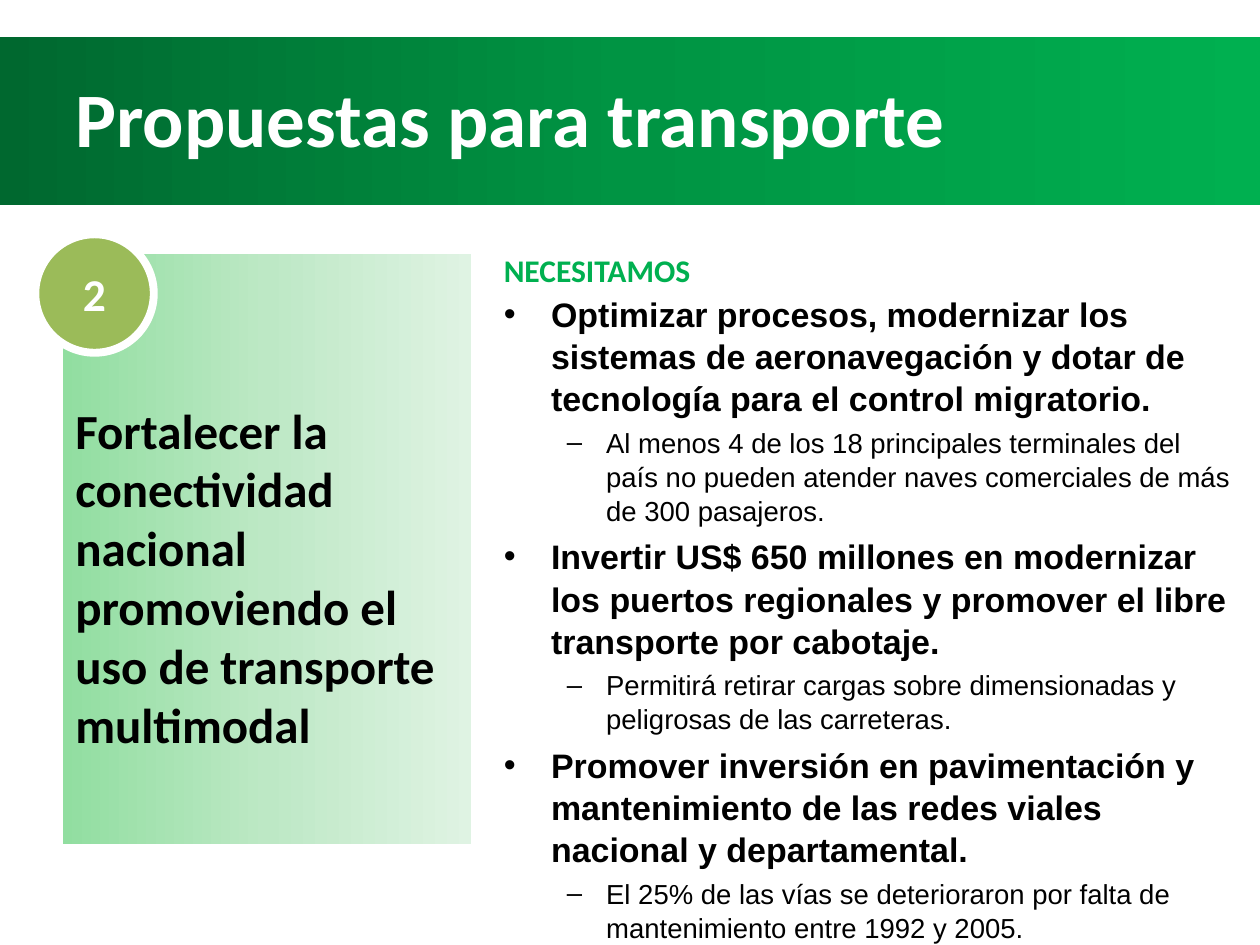
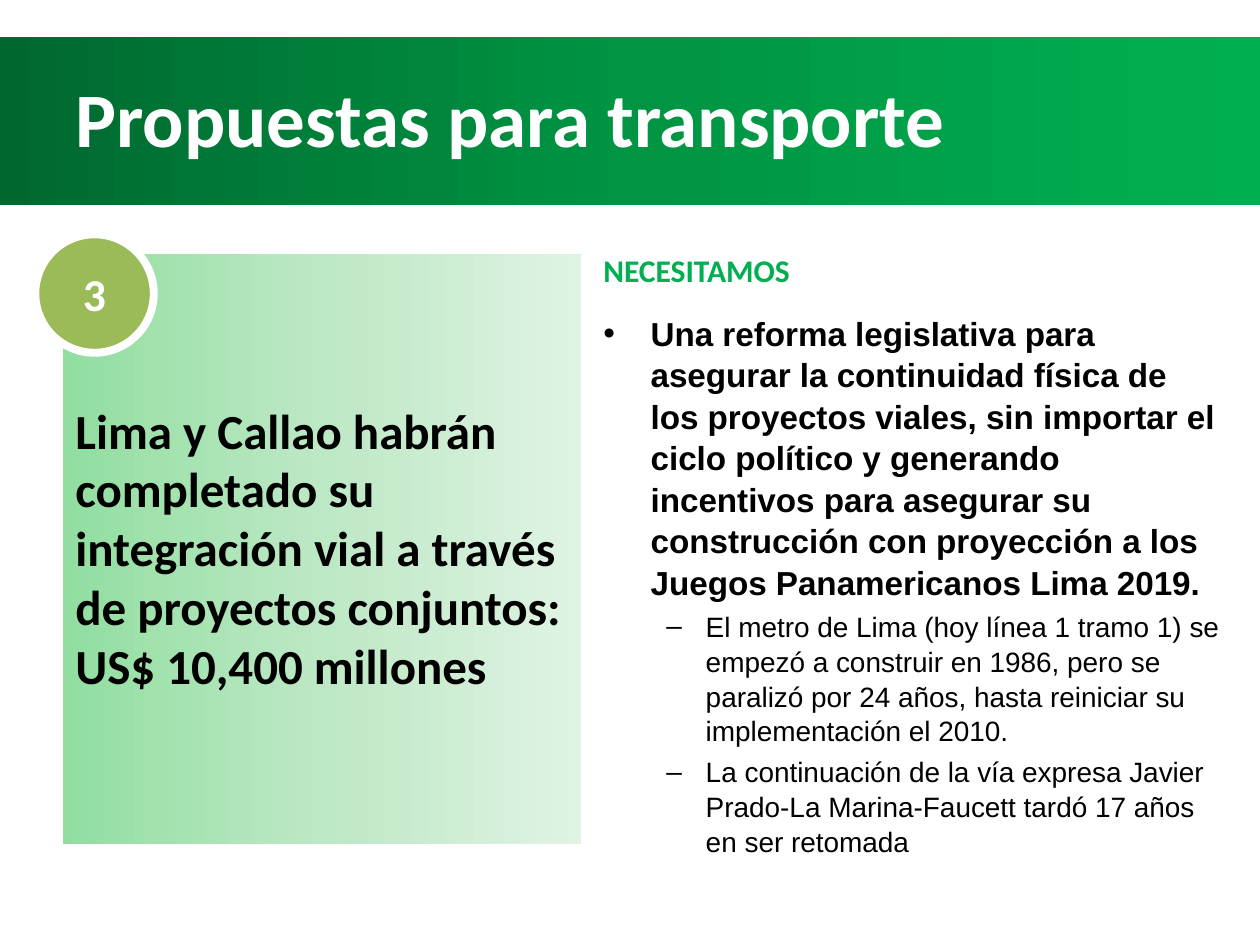
from copy import deepcopy

from lxml import etree
from pptx import Presentation
from pptx.dml.color import RGBColor
from pptx.enum import shapes, text
from pptx.oxml import ns
from pptx.util import Pt

HUES = {
    "white": "FFFFFF", "black": "000000", "green": "00B050", "olive": "9BBB59",
    "band": ("00682F", "009443", "00B050"),
    "panel": ("91DEA0", "BDE8C5", "DFF3E3"),
}
FONTS = {
    "title": dict(name="Calibri", size=44, bold=True, hue="white"),
    "claim": dict(name="Calibri", size=28, bold=True, hue="black"),
    "badge": dict(name="Calibri", size=26, bold=True, hue="white"),
    "head": dict(name="Calibri", size=18, bold=True, hue="green"),
    "main": dict(name="Arial", bold=True, hue="black"),
    "sub": dict(name="Arial", bold=False, hue="black"),
}
# Bullet mark, left margin and hanging indent for each level
LEVELS = {"main": ("•", 27, -27), "sub": ("–", 58.5, -22.5)}
TITLE = "Propuestas para transporte"
LEFT, TOP, TALL = 36, 145.4, 337

PAGES = [
    dict(
        num="2", wide=233.3, sizes=dict(main=19.4, sub=15.7),
        claim="Fortalecer la conectividad nacional promoviendo el uso de "
              "transporte multimodal",
        body=(280.8, 162, 430.6, 339.8),
        needs=[
            ("main", "Optimizar procesos, modernizar los sistemas de "
                     "aeronavegación y dotar de tecnología para el control "
                     "migratorio."),
            ("sub", "Al menos 4 de los 18 principales terminales del país no "
                    "pueden atender naves comerciales de más de 300 "
                    "pasajeros."),
            ("main", "Invertir US$ 650 millones en modernizar los puertos "
                     "regionales y promover el libre transporte por "
                     "cabotaje."),
            ("sub", "Permitirá retirar cargas sobre dimensionadas y "
                    "peligrosas de las carreteras."),
            ("main", "Promover inversión en pavimentación y mantenimiento de "
                     "las redes viales nacional y departamental."),
            ("sub", "El 25% de las vías se deterioraron por falta de "
                    "mantenimiento entre 1992 y 2005."),
        ],
    ),
    dict(
        num="3", wide=295.9, sizes=dict(main=19, sub=16),
        claim="Lima y Callao habrán completado su integración vial a través "
              "de proyectos conjuntos: US$ 10,400 millones",
        body=(337.7, 173.5, 368.6, 300.2),
        needs=[
            ("main", "Una reforma legislativa para asegurar la continuidad "
                     "física de los proyectos viales, sin importar el ciclo "
                     "político y generando incentivos para asegurar su "
                     "construcción con proyección a los Juegos Panamericanos "
                     "Lima 2019."),
            ("sub", "El metro de Lima (hoy línea 1 tramo 1) se empezó a "
                    "construir en 1986, pero se paralizó por 24 años, hasta "
                    "reiniciar su implementación el 2010."),
            ("sub", "La continuación de la vía expresa Javier Prado-La "
                    "Marina-Faucett tardó 17 años en ser retomada"),
        ],
    ),
]


def tint(hue):
    return RGBColor.from_string(HUES.get(hue, hue))


def shape(slide, kind, box):
    item = slide.shapes.add_shape(kind, *map(Pt, box))
    item.shadow.inherit = False
    item.line.fill.background()
    return item


def blend(item, hues):
    """Fill with an even left-to-right gradient."""
    item.fill.gradient()
    item.fill.gradient_angle = 0
    stops = item._element.spPr.find(".//" + ns.qn("a:gsLst"))
    stops.append(deepcopy(stops[0]))
    for i, (stop, hue) in enumerate(zip(item.fill.gradient_stops, hues)):
        stop.position = i / (len(hues) - 1)
        stop.color.rgb = tint(hue)


def frame(item, anchor="TOP", **insets):
    tf = item.text_frame
    tf.word_wrap = True
    tf.vertical_anchor = getattr(text.MSO_ANCHOR, anchor)
    for side, gap in insets.items():
        setattr(tf, "margin_" + side, Pt(gap))
    return tf


def write(para, words, style, size=None, align="LEFT"):
    para.alignment = getattr(text.PP_ALIGN, align)
    run = para.add_run()
    run.text = words
    look = dict(FONTS[style])
    run.font.color.rgb = tint(look.pop("hue"))
    look["size"] = Pt(size or look["size"])
    for key, value in look.items():
        setattr(run.font, key, value)


def label(slide, box, words, style, anchor="TOP"):
    item = slide.shapes.add_textbox(*map(Pt, box))
    write(frame(item, anchor).paragraphs[0], words, style)


def bullet(para, level):
    mark, left, hang = LEVELS[level]
    props = para._p.get_or_add_pPr()
    props.set("marL", str(Pt(left)))
    props.set("indent", str(Pt(hang)))
    etree.SubElement(props, ns.qn("a:buFont")).set("typeface", "Arial")
    etree.SubElement(props, ns.qn("a:buChar")).set("char", mark)


def banner(slide, box):
    x, y, w, h = box
    blend(shape(slide, shapes.MSO_SHAPE.RECTANGLE, box), HUES["band"])
    label(slide, (x + LEFT, y + 0.7, w - 2 * LEFT, h - 6.5), TITLE, "title",
          "MIDDLE")


def panel(slide, box, claim):
    item = shape(slide, shapes.MSO_SHAPE.RECTANGLE, box)
    blend(item, HUES["panel"])
    write(frame(item, top=83.2).paragraphs[0], claim, "claim")


def badge(slide, box, num):
    """Number disc over the top left corner of the panel box."""
    x, y = box[:2]
    disc = shape(slide, shapes.MSO_SHAPE.OVAL, (x - 15.8, y - 11.5, 67.7, 67.7))
    disc.fill.solid()
    disc.fill.fore_color.rgb = tint("olive")
    disc.line.color.rgb = tint("white")
    disc.line.width = Pt(4.5)
    write(frame(disc, "MIDDLE").paragraphs[0], num, "badge", align="CENTER")


def needs(slide, box, items, sizes):
    tf = frame(slide.shapes.add_textbox(*map(Pt, box)), top=4.6)
    for i, (level, words) in enumerate(items):
        para = tf.add_paragraph() if i else tf.paragraphs[0]
        size = sizes[level]
        para.line_spacing = 1.045
        para.space_before = Pt(round(0.21 * size, 1) if i else 0)
        bullet(para, level)
        write(para, words, level, size)
    label(slide, (box[0], 139.7, 175.7, 28.8), "NECESITAMOS", "head")


def page(deck, data):
    slide = deck.slides.add_slide(deck.slide_layouts[6])
    box = (LEFT, TOP, data["wide"], TALL)
    banner(slide, (0, 20.9, 720, 96.5))
    panel(slide, box, data["claim"])
    needs(slide, data["body"], data["needs"], data["sizes"])
    badge(slide, box, data["num"])


def main():
    deck = Presentation()
    deck.slide_width, deck.slide_height = Pt(720), Pt(540)
    for data in PAGES:
        page(deck, data)
    deck.save("out.pptx")


if __name__ == "__main__":
    main()
